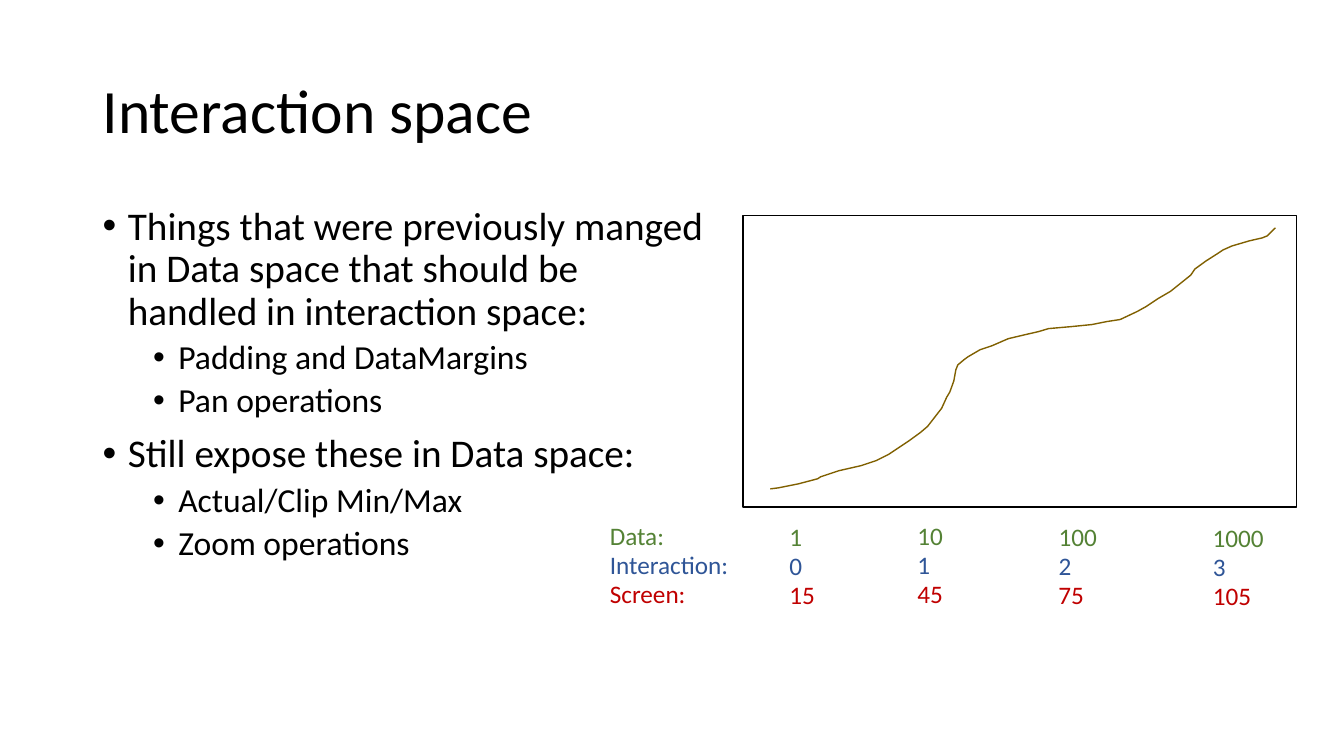
from lxml.etree import SubElement
from pptx import Presentation
from pptx.dml.color import RGBColor
from pptx.enum.shapes import MSO_SHAPE as Preset
from pptx.enum.text import MSO_ANCHOR as Anchor, MSO_AUTO_SIZE as AutoSize
from pptx.oxml.ns import qn
from pptx.util import Inches, Pt

CELL = Inches(0.1)  # grid of 133.33 columns by 75 rows
COLORS = {
    "ink": "000000",
    "paper": "FFFFFF",
    "curve": "806000",
    "data": "548235",
    "interaction": "2F5597",
    "screen": "C00000",
}
LEVELS = [
    {"size": 28, "before": 10, "margin": 0.25},
    {"size": 24, "before": 5, "margin": 0.75},
]
BULLETS = [
    (0, "Things that were previously manged in Data space "
        "that should be handled in interaction space:"),
    (1, "Padding and DataMargins"),
    (1, "Pan operations"),
    (0, "Still expose these in Data space:"),
    (1, "Actual/Clip Min/Max"),
    (1, "Zoom operations"),
]
SPACES = ["data", "interaction", "screen"]
SCALE_ROW_STEP = 2.9
# column, row, then one text for each space
SCALE_COLUMNS = [
    (59.5, 51.1, ["Data:", "Interaction:", "Screen:"]),
    (77.3, 51.2, ["1", "0", "15"]),
    (90.0, 51.1, ["10", "1", "45"]),
    (104.0, 51.2, ["100", "2", "75"]),
    (119.3, 51.3, ["1000", "3", "105"]),
]
# tenths of a grid cell
CURVE_POINTS = [
    (764, 485), (772, 484), (782, 482), (792, 480), (811, 475), (814, 473),
    (832, 467), (854, 462), (869, 457), (881, 451), (902, 437), (913, 429),
    (920, 423), (927, 414), (934, 405), (939, 394), (942, 389), (946, 378),
    (948, 367), (950, 362), (956, 357), (960, 354), (972, 347), (984, 343),
    (1000, 336), (1017, 332), (1030, 329), (1040, 326), (1063, 324),
    (1083, 322), (1098, 319), (1111, 317), (1128, 309), (1137, 304),
    (1149, 296), (1161, 289), (1171, 281), (1181, 273), (1185, 267),
    (1196, 259), (1207, 252), (1213, 248), (1222, 244), (1239, 239),
    (1252, 236), (1257, 234), (1262, 229), (1265, 226),
]


def cells(*counts):
    return [round(count * CELL) for count in counts]


def apply_format(target, **values):
    for name, value in values.items():
        setattr(target, name, value)


def add_text_box(slide, box, **frame_format):
    frame = slide.shapes.add_textbox(*cells(*box)).text_frame
    apply_format(frame, **{"word_wrap": True, **frame_format})
    return frame


def write(paragraph, text, size, color="ink", **paragraph_format):
    run = paragraph.add_run()
    run.text = text
    apply_format(run.font, name="Calibri", size=Pt(size))
    run.font.color.rgb = RGBColor.from_string(COLORS[color])
    apply_format(paragraph, **paragraph_format)


def add_bullet(paragraph, margin):
    """Give the paragraph a round bullet hanging left of the margin."""
    properties = paragraph._p.get_or_add_pPr()
    properties.set("marL", str(Inches(margin)))
    properties.set("indent", str(-Inches(0.25)))
    SubElement(properties, qn("a:buFont")).set("typeface", "Arial")
    SubElement(properties, qn("a:buChar")).set("char", "•")


def add_bullet_list(slide, box, items):
    frame = add_text_box(slide, box)
    for index, (level, text) in enumerate(items):
        paragraph = frame.add_paragraph() if index else frame.paragraphs[0]
        style = LEVELS[level]
        write(paragraph, text, style["size"], level=level, line_spacing=0.9,
              space_before=Pt(style["before"]))
        add_bullet(paragraph, style["margin"])


def outline(shape, color):
    shape.shadow.inherit = False
    shape.line.color.rgb = RGBColor.from_string(COLORS[color])
    shape.line.width = Pt(1)


def add_plot_frame(slide, box):
    frame = slide.shapes.add_shape(Preset.RECTANGLE, *cells(*box))
    frame.fill.solid()
    frame.fill.fore_color.rgb = RGBColor.from_string(COLORS["paper"])
    outline(frame, "ink")


def add_curve(slide, points):
    builder = slide.shapes.build_freeform(*points[0], scale=CELL / 10)
    builder.add_line_segments(points[1:], close=False)
    curve = builder.convert_to_shape()
    curve.fill.background()
    outline(curve, "curve")


def add_scale_column(slide, column, row, texts):
    """Stack the readings of one position in the three spaces."""
    for index, (space, text) in enumerate(zip(SPACES, texts)):
        box = (column, row + index * SCALE_ROW_STEP, 16.5, 4)
        frame = add_text_box(slide, box, word_wrap=False,
                             auto_size=AutoSize.SHAPE_TO_FIT_TEXT)
        # Unwrapped text stays at the left edge of a box of its own width.
        frame._parent.width = cells(2 + 1.28 * len(text))[0]
        write(frame.paragraphs[0], text, 18, space)


def main():
    presentation = Presentation()
    apply_format(presentation, slide_width=Inches(13.33), slide_height=Inches(7.5))
    slide = presentation.slides.add_slide(presentation.slide_layouts[6])

    title = add_text_box(slide, (9.2, 4, 115, 14.5), vertical_anchor=Anchor.MIDDLE)
    write(title.paragraphs[0], "Interaction space", 44, line_spacing=0.9)
    add_bullet_list(slide, (9.2, 20, 61.9, 47.6), BULLETS)
    add_plot_frame(slide, (73.7, 21.4, 54.9, 28.9))
    for column, row, texts in SCALE_COLUMNS:
        add_scale_column(slide, column, row, texts)
    add_curve(slide, CURVE_POINTS)

    presentation.save("out.pptx")


if __name__ == "__main__":
    main()
